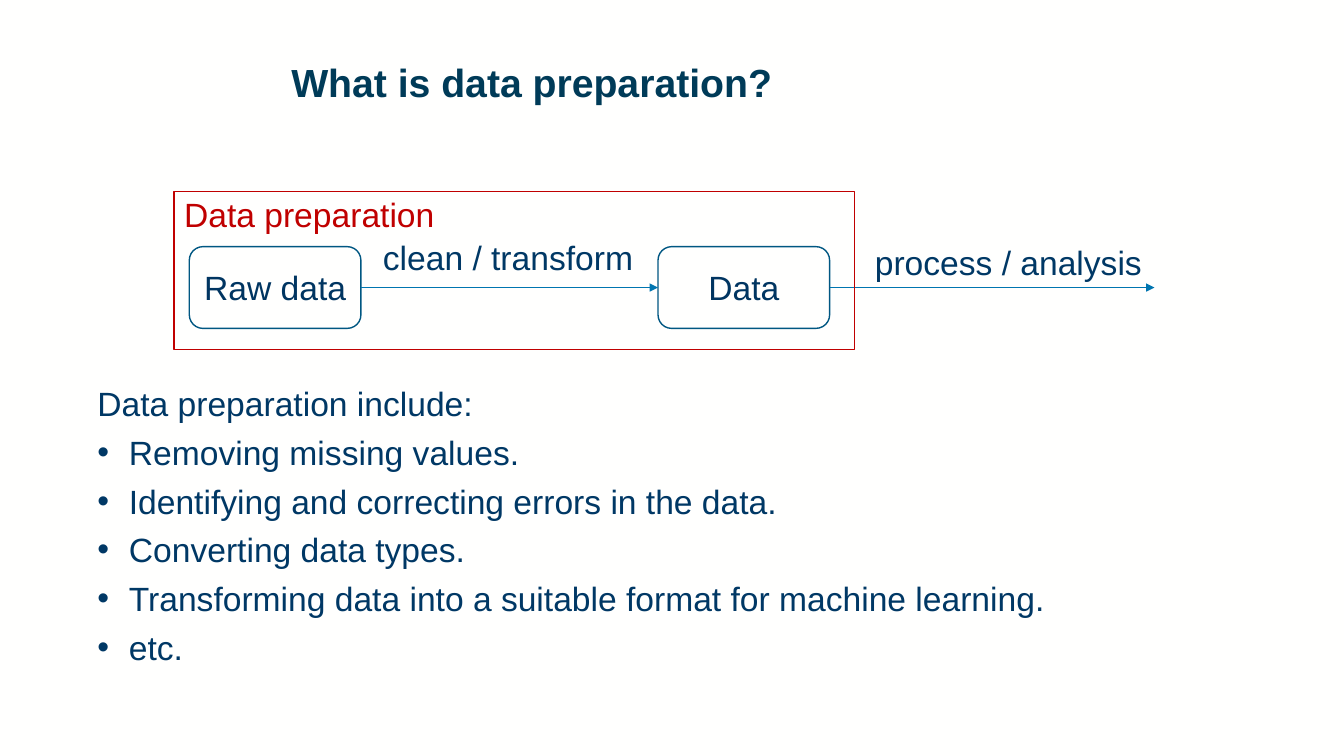
from dataclasses import dataclass

import pptx
import pptx.dml.color
import pptx.enum.shapes
import pptx.enum.text
import pptx.oxml
import pptx.oxml.ns
import pptx.util
from lxml import etree

Pt = pptx.util.Pt
ANCHOR = pptx.enum.text.MSO_ANCHOR
ALIGN = pptx.enum.text.PP_ALIGN
SHAPE = pptx.enum.shapes.MSO_SHAPE


def rgb(value):
    return pptx.dml.color.RGBColor.from_string(value)


def add_child(parent, tag, **attributes):
    return etree.SubElement(parent, pptx.oxml.ns.qn(tag), attributes)


@dataclass(frozen=True)
class Theme:
    font: str = "Arial"
    background: str = "FFFFFE"
    title: str = "003B58"
    body: str = "003865"
    stage: str = "003561"
    outline: str = "005782"
    arrow: str = "0075B0"
    scope: str = "C00000"
    title_size: int = 28
    body_size: int = 24


class SlideBuilder:
    def __init__(self, slide, theme):
        self.slide = slide
        self.theme = theme
        slide.background.fill.solid()
        slide.background.fill.fore_color.rgb = rgb(theme.background)

    def style(self, paragraph, color, size=None, bold=False):
        for run in paragraph.runs:
            run.font.name = self.theme.font
            run.font.size = Pt(size or self.theme.body_size)
            run.font.bold = bold
            run.font.color.rgb = rgb(color)

    def label(self, box, text, color, size=None, bold=False, wrap=False):
        frame = self.slide.shapes.add_textbox(*map(Pt, box)).text_frame
        frame.word_wrap = wrap
        frame.text = text
        self.style(frame.paragraphs[0], color, size, bold)
        return frame

    def bullets(self, frame, items, indent, gap):
        for item in items:
            paragraph = frame.add_paragraph()
            paragraph.text = item
            paragraph.space_before = Pt(gap)
            properties = paragraph._p.get_or_add_pPr()
            properties.set("marL", str(Pt(indent)))
            properties.set("indent", str(-Pt(indent)))
            add_child(properties, "a:buFont", typeface=self.theme.font)
            add_child(properties, "a:buChar", char="•")
            self.style(paragraph, self.theme.body)

    def box(self, kind, box, text, line, color, align, anchor):
        shape = self.slide.shapes.add_shape(kind, *map(Pt, box))
        shape.shadow.inherit = False
        shape.fill.background()
        shape.line.color.rgb = rgb(line)
        shape.line.width = Pt(1)
        frame = shape.text_frame
        frame.word_wrap = True
        frame.vertical_anchor = anchor
        frame.margin_top = Pt(1.5)
        frame.margin_bottom = Pt(1.5)
        frame.text = text
        frame.paragraphs[0].alignment = align
        self.style(frame.paragraphs[0], color)

    def arrow(self, start, end, y):
        connector = self.slide.shapes.add_connector(
            pptx.enum.shapes.MSO_CONNECTOR.STRAIGHT, Pt(start), Pt(y), Pt(end), Pt(y)
        )
        connector.line.color.rgb = rgb(self.theme.arrow)
        connector.line.width = Pt(0.5)
        add_child(connector.line._ln, "a:tailEnd", type="triangle")
        add_child(connector._element.spPr, "a:effectLst")


def main():
    presentation = pptx.Presentation()
    presentation.slide_width = Pt(960)
    presentation.slide_height = Pt(540)
    theme = Theme()
    builder = SlideBuilder(
        presentation.slides.add_slide(presentation.slide_layouts[6]), theme
    )

    title = builder.label(
        (201, 42, 725, 70), "What is data preparation?",
        theme.title, theme.title_size, bold=True, wrap=True,
    )
    title.paragraphs[0].line_spacing = 0.9

    steps = builder.label(
        (62.5, 270, 786, 212), "Data preparation include:", theme.body, wrap=True
    )
    builder.bullets(
        steps,
        (
            "Removing missing values.",
            "Identifying and correcting errors in the data.",
            "Converting data types.",
            "Transforming data into a suitable format for machine learning.",
            "etc.",
        ),
        indent=22.5, gap=6,
    )

    stage_top, stage_width, stage_height = 176.2, 122.6, 58.4
    raw_left, data_left, process_end = 135.2, 470, 824.6
    for left, name in ((raw_left, "Raw data"), (data_left, "Data")):
        builder.box(
            SHAPE.ROUNDED_RECTANGLE, (left, stage_top, stage_width, stage_height),
            name, theme.outline, theme.stage, ALIGN.CENTER, ANCHOR.MIDDLE,
        )

    flow_y = stage_top + stage_height / 2
    for left, end in ((raw_left, data_left), (data_left, process_end)):
        builder.arrow(left + stage_width, end, flow_y)

    builder.label((266.4, 165.6, 195, 36), "clean / transform", theme.body)
    builder.label((617.8, 169.2, 207.4, 36), "process / analysis", theme.body)
    builder.box(
        SHAPE.RECTANGLE, (124.4, 136.8, 486, 113), "Data preparation",
        theme.scope, theme.scope, ALIGN.LEFT, ANCHOR.TOP,
    )

    presentation.save("out.pptx")


if __name__ == "__main__":
    main()
